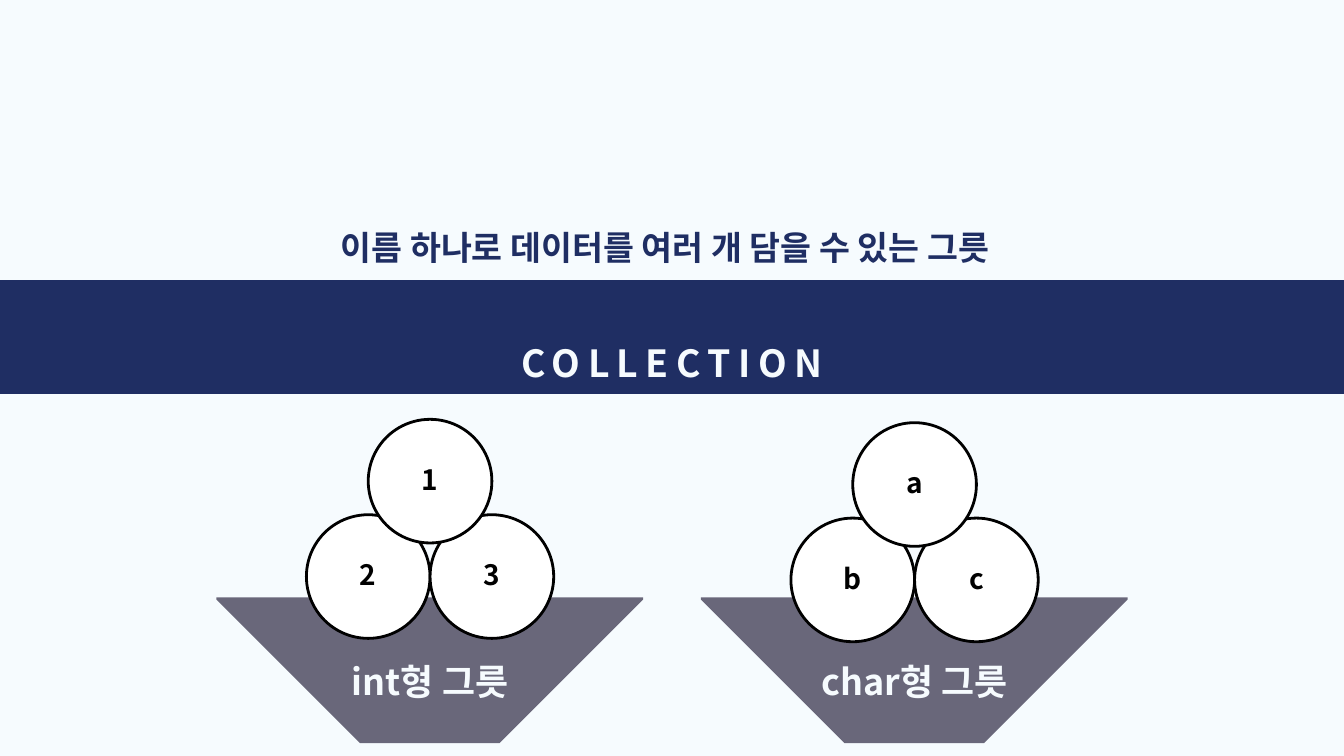
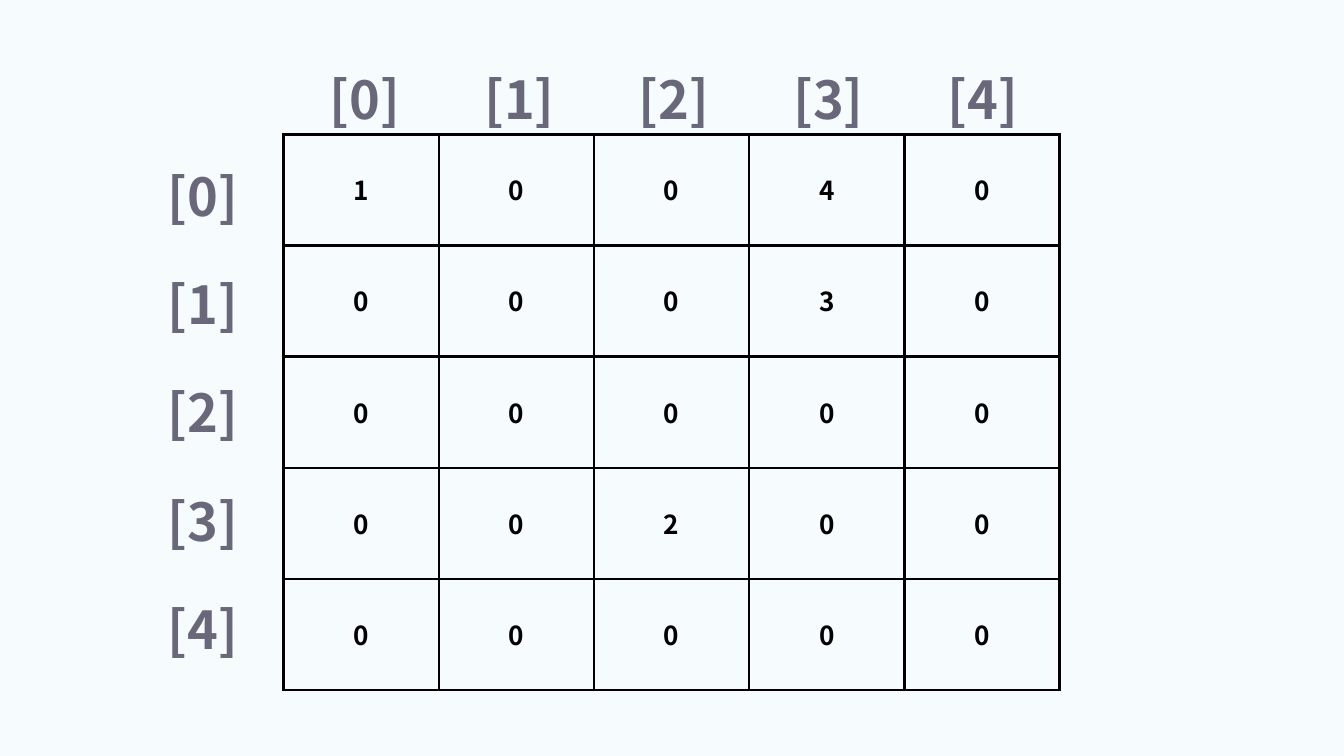
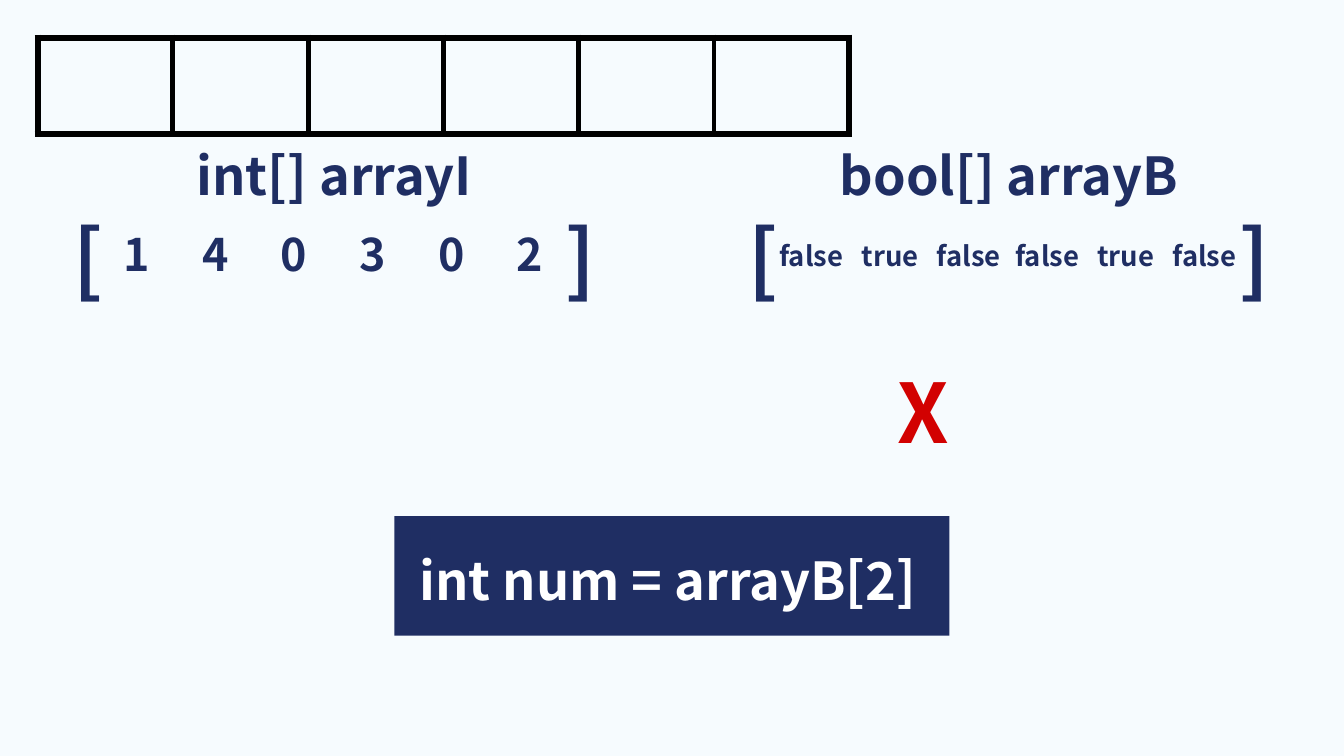
"""Build three slides that explain collections and arrays."""
from dataclasses import dataclass

from lxml.etree import SubElement
from pptx import Presentation
from pptx.dml.color import RGBColor
from pptx.enum.shapes import MSO_SHAPE as Shape
from pptx.enum.text import MSO_ANCHOR as Anchor, MSO_AUTO_SIZE as AutoSize, PP_ALIGN as Align
from pptx.oxml.ns import qn
from pptx.util import Inches, Pt


@dataclass(frozen=True)
class Theme:
    font: str = "Noto Sans CJK KR"
    paper: str = "F6FBFE"
    navy: str = "1F2E63"
    slate: str = "69677A"
    black: str = "000000"
    white: str = "FFFFFF"
    red: str = "D20101"
    cell: float = 28
    boolean: float = 29.4
    ball: float = 30
    caption: float = 36
    bowl: float = 38.5
    band: float = 40
    number: float = 48
    heading: float = 56
    bracket: float = 84.6
    cross: float = 88
    leading: float = 1.4


THEME = Theme()

CAPTION = "이름 하나로 데이터를 여러 개 담을 수 있는 그릇"
BAND = "COLLECTION"
BOWLS = [
    dict(label="int형 그릇", balls="231", left=3.22, ball_top=6.24),
    dict(label="char형 그릇", balls="bca", left=10.43, ball_top=6.29),
]
MATRIX = ["10040", "00030", "00000", "00200", "00000"]
ARRAYS = [
    dict(name="int[] arrayI", items="1 4 0 3 0 2".split(), left=1.1, top=3.24, size=THEME.number),
    dict(name="bool[] arrayB", items="false true false false true false".split(),
         left=11.14, top=3.47, size=THEME.boolean),
]
CODE = "int num = arrayB[2]"
CROSS = "X"

BALL = 1.84
BALL_SPOTS = [(1.34, 1.42), (1.34 + BALL, 1.42), (1.34 + BALL / 2, 0)]
BOWL_OUTLINE = [(0, 8.89), (6.35, 8.89), (6.35, 8.92), (4.21, 11.06), (2.14, 11.06), (0, 8.92)]


def rgb(color):
    return RGBColor.from_string(color)


def inches(*lengths):
    return [Inches(length) for length in lengths]


def write(frame, text, size, color, align=Align.CENTER, anchor=Anchor.TOP,
          insets=(0, 0, 0, 0), leading=None, tracking=None):
    frame.word_wrap = True
    frame.auto_size = AutoSize.NONE
    frame.vertical_anchor = anchor
    (frame.margin_left, frame.margin_top,
     frame.margin_right, frame.margin_bottom) = inches(*insets)
    fill_paragraph(frame.paragraphs[0], text, size, color, align, leading, tracking)


def fill_paragraph(paragraph, text, size, color, align=Align.CENTER, leading=None, tracking=None):
    paragraph.alignment = align
    paragraph.line_spacing = Pt(leading or size * THEME.leading)
    run = paragraph.add_run()
    run.text = text
    run.font.size = Pt(size)
    run.font.bold = True
    run.font.color.rgb = rgb(color)
    run.font.name = THEME.font
    properties = run._r.get_or_add_rPr()
    SubElement(properties, qn("a:ea"), typeface=THEME.font)
    if tracking:
        properties.set("spc", str(tracking * 100))


def add_label(slide, text, box, size, color, **options):
    write(slide.shapes.add_textbox(*inches(*box)).text_frame, text, size, color, **options)


def paint(shape, fill, line=None, width=3):
    shape.shadow.inherit = False
    shape.fill.solid()
    shape.fill.fore_color.rgb = rgb(fill)
    if line:
        shape.line.color.rgb = rgb(line)
        shape.line.width = Pt(width)
    else:
        shape.line.fill.background()


def add_grid(slide, rows, columns, box):
    grid = slide.shapes.add_table(rows, columns, *inches(*box)).table
    grid.first_row = grid.horz_banding = False
    return grid


def style_cell(cell, left, right, top, bottom):
    properties = cell._tc.get_or_add_tcPr()
    for side, width in zip("LRTB", (left, right, top, bottom)):
        border = SubElement(properties, qn(f"a:ln{side}"), w=str(Pt(width)))
        SubElement(SubElement(border, qn("a:solidFill")), qn("a:srgbClr"), val=THEME.black)
    cell.fill.background()


def add_bowl(slide, label, balls, left, ball_top):
    start, *rest = [inches(left + x, y) for x, y in BOWL_OUTLINE]
    builder = slide.shapes.build_freeform(*start)
    builder.add_line_segments(rest, close=True)
    paint(builder.convert_to_shape(), THEME.slate)
    for text, (x, y) in zip(balls, BALL_SPOTS):
        ball = slide.shapes.add_shape(Shape.OVAL, *inches(left + x, ball_top + y, BALL, BALL))
        paint(ball, THEME.white, THEME.black)
        write(ball.text_frame, text, THEME.ball, THEME.black,
              anchor=Anchor.MIDDLE, insets=(0, 0, 0, 0.14))
    add_label(slide, label, (left + 1.34, 9.71, 3.68, 0.69), THEME.bowl, THEME.paper)


def build_collection(prs):
    slide = prs.slides.add_slide(prs.slide_layouts[5])
    band = slide.shapes.title
    band.left, band.top, band.width, band.height = inches(0, 4.17, 20, 1.69)
    band.fill.solid()
    band.fill.fore_color.rgb = rgb(THEME.navy)
    write(band.text_frame, BAND, THEME.band, THEME.paper, anchor=Anchor.BOTTOM,
          insets=(0, 0, 0, 0.13), leading=20, tracking=8)
    for bowl in BOWLS:
        add_bowl(slide, **bowl)
    add_label(slide, CAPTION, (5.07, 3.28, 9.86, 0.67), THEME.caption, THEME.navy,
              align=Align.LEFT)


def build_matrix(prs):
    slide = prs.slides.add_slide(prs.slide_layouts[6])
    count = len(MATRIX)
    grid = add_grid(slide, count, count, (4.22, 2, 11.55, 8.27))
    for r, row in enumerate(MATRIX):
        for c, value in enumerate(row):
            cell = grid.cell(r, c)
            cell.vertical_anchor = Anchor.MIDDLE
            cell.margin_left = cell.margin_right = Inches(0.21)
            cell.margin_top = cell.margin_bottom = Inches(0.21)
            style_cell(cell, 3, 3, 3, 3)
            fill_paragraph(cell.text_frame.paragraphs[0], value, THEME.cell, THEME.black)
    for i in range(count):
        for left, top in ((4.22 + 2.3 * i, 0.84), (1.81, 2.29 + 1.61 * i)):
            add_label(slide, f"[{i}]", (left, top, 2.42, 1.04), THEME.heading, THEME.slate)


def add_array(slide, name, items, left, top, size):
    add_label(slide, name, (left, 1.97, 7.75, 1.04), THEME.heading, THEME.navy)
    for bracket, x in (("[", left), ("]", left + 7.31)):
        add_label(slide, bracket, (x, 2.89, 0.46, 1.53), THEME.bracket, THEME.navy,
                  align=Align.LEFT)
    for i, item in enumerate(items):
        add_label(slide, item, (left + 0.35 + 1.17 * i, top, 1.17, 0.87), size, THEME.navy)


def build_arrays(prs):
    slide = prs.slides.add_slide(prs.slide_layouts[6])
    for array in ARRAYS:
        add_array(slide, **array)
    slots = len(ARRAYS[0]["items"])
    grid = add_grid(slide, 1, slots, (0.56, 0.56, 12.08, 1.44))
    for c in range(slots):
        style_cell(grid.cell(0, c), 7.5 if c == 0 else 6, 7.5 if c == slots - 1 else 6, 7.5, 7.5)
    code = slide.shapes.add_shape(Shape.RECTANGLE, *inches(5.87, 7.68, 8.26, 1.78))
    paint(code, THEME.navy)
    write(code.text_frame, CODE, THEME.heading, THEME.white, align=Align.LEFT,
          insets=(0.37, 0.32, 0.37, 0))
    add_label(slide, CROSS, (13.36, 5.14, 0.77, 1.64), THEME.cross, THEME.red, align=Align.LEFT)


def main():
    prs = Presentation()
    prs.slide_width, prs.slide_height = inches(20, 11.25)
    backdrop = prs.slide_master.background.fill
    backdrop.solid()
    backdrop.fore_color.rgb = rgb(THEME.paper)
    for build in (build_collection, build_matrix, build_arrays):
        build(prs)
    prs.save("out.pptx")


if __name__ == "__main__":
    main()
